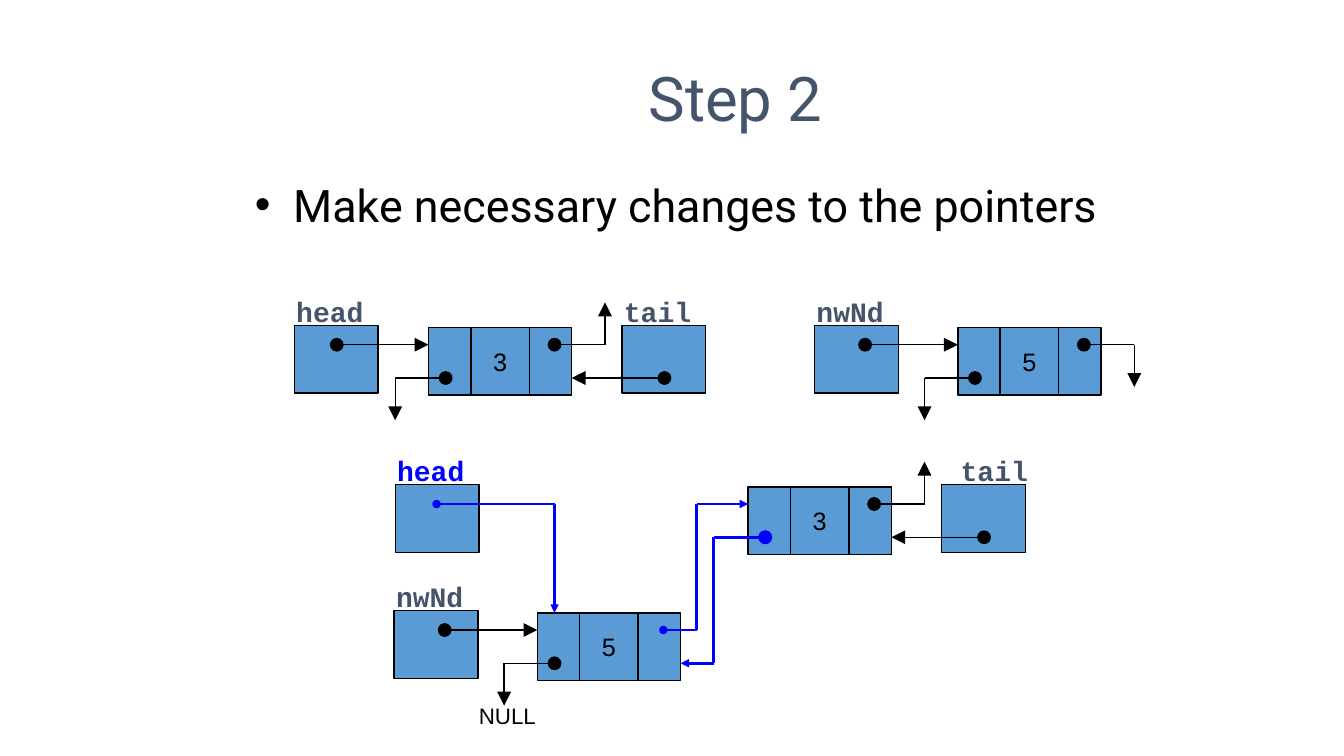
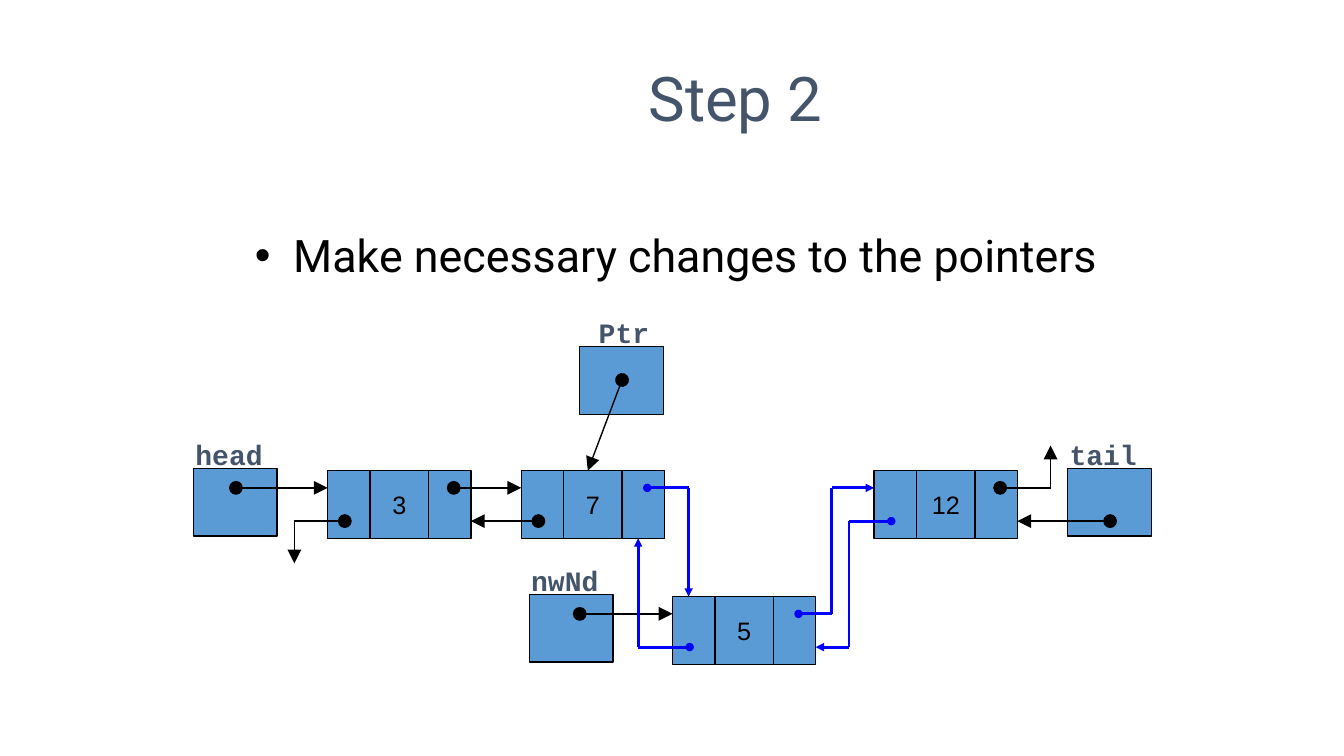
from dataclasses import dataclass
from itertools import pairwise

from lxml.etree import SubElement
from pptx import Presentation
from pptx.dml.color import RGBColor
from pptx.enum.shapes import MSO_CONNECTOR, MSO_SHAPE
from pptx.enum.text import MSO_ANCHOR, PP_ALIGN
from pptx.oxml.ns import qn
from pptx.util import Inches, Pt

BLACK = RGBColor(0x00, 0x00, 0x00)
SLATE = RGBColor(0x44, 0x54, 0x6A)
NODE_BLUE = RGBColor(0x5B, 0x9B, 0xD5)
CHANGED_BLUE = RGBColor(0x00, 0x00, 0xFF)

BOX_HEIGHT = 0.67
POINTER_WIDTH = 0.83
LINK_WIDTH = 0.42
VALUE_WIDTH = 0.58
NODE_WIDTH = 2 * LINK_WIDTH + VALUE_WIDTH
NEXT_LANE = 0.17   # height of the "next" links below a node's top
PREVIOUS_LANE = 0.5
NULL_RUN = 0.5     # sideways part of an arrow to nowhere
NULL_DROP = 0.42


@dataclass
class Node:
    x: float
    y: float

    @property
    def next_dot(self):
        return self.x + 1.25, self.y + NEXT_LANE

    @property
    def previous_dot(self):
        return self.x + 0.17, self.y + PREVIOUS_LANE

    @property
    def left_entry(self):
        return self.x, self.y + NEXT_LANE

    @property
    def right_entry(self):
        return self.x + NODE_WIDTH, self.y + PREVIOUS_LANE


def set_text(shape, text, *, size, font="Arial", color=BLACK, bold=False,
             align=PP_ALIGN.LEFT, anchor=MSO_ANCHOR.TOP, wrap=True, bullet=False):
    frame = shape.text_frame
    frame.word_wrap = wrap
    frame.vertical_anchor = anchor
    paragraph = frame.paragraphs[0]
    paragraph.alignment = align
    if bullet:
        properties = paragraph._p.get_or_add_pPr()
        properties.set("marL", str(Inches(0.38)))
        properties.set("indent", str(Inches(-0.38)))
        SubElement(properties, qn("a:buFont"), typeface="Arial")
        SubElement(properties, qn("a:buChar"), char="•")
    run = paragraph.add_run()
    run.text = text
    run.font.name = font
    run.font.size = Pt(size)
    run.font.bold = bold
    run.font.color.rgb = color


class ListDeck:
    """Draws doubly linked lists, one slide at a time."""

    def __init__(self):
        self.presentation = Presentation()
        self.presentation.slide_width = Inches(13.33)
        self.presentation.slide_height = Inches(7.5)
        self.slide = None

    # Slide text
    def add_slide(self, title, bullet, bullet_top):
        layout = self.presentation.slide_layouts[6]
        self.slide = self.presentation.slides.add_slide(layout)
        self.text(title, 3.67, 0.35, 7.25, 1.23, size=44, font="Roboto", color=SLATE,
                  align=PP_ALIGN.CENTER, anchor=MSO_ANCHOR.MIDDLE)
        self.text(bullet, 2.43, bullet_top, 8.92, 0.83, size=32, font="Roboto", bullet=True)

    def text(self, text, x, y, width, height, **style):
        box = self.slide.shapes.add_textbox(
            Inches(x), Inches(y), Inches(width), Inches(height))
        set_text(box, text, **style)

    # Boxes
    def box(self, x, y, width):
        shape = self.slide.shapes.add_shape(
            MSO_SHAPE.RECTANGLE, Inches(x), Inches(y), Inches(width), Inches(BOX_HEIGHT))
        shape.shadow.inherit = False
        shape.fill.solid()
        shape.fill.fore_color.rgb = NODE_BLUE
        shape.line.color.rgb = BLACK
        shape.line.width = Pt(1)
        return shape

    def node(self, value, x, y):
        self.box(x, y, LINK_WIDTH)
        self.box(x + LINK_WIDTH + VALUE_WIDTH, y, LINK_WIDTH)
        set_text(self.box(x + LINK_WIDTH, y, VALUE_WIDTH), value, size=18,
                 align=PP_ALIGN.CENTER, anchor=MSO_ANCHOR.MIDDLE, wrap=False)
        return Node(x, y)

    def pointer_box(self, name, x, y, color=SLATE, label_shift=0.0):
        self.box(x, y, POINTER_WIDTH)
        self.text(name, x - 0.08 + label_shift, y - 0.36, 1.17, 0.43, size=20,
                  font="Courier New", color=color, bold=True)

    # Links
    def segment(self, start, end, color, dot_size=None, arrow=False):
        changed = color == CHANGED_BLUE
        line = self.slide.shapes.add_connector(
            MSO_CONNECTOR.STRAIGHT, *(Inches(value) for value in (*start, *end)))
        line.line.color.rgb = color
        line.line.width = Pt(2 if changed else 1)
        outline = line.line._get_or_add_ln()
        if dot_size:
            SubElement(outline, qn("a:headEnd"), type="oval", w=dot_size, len=dot_size)
        if arrow:
            size = "med" if changed else "lg"
            SubElement(outline, qn("a:tailEnd"), type="triangle", w=size, len=size)
        SubElement(line._element.spPr, qn("a:effectLst"))

    def link(self, *points, color=BLACK, dot_size="lg"):
        """Join the points, with a dot at the first and an arrow at the last."""
        segments = list(pairwise(points))
        for index, (start, end) in enumerate(segments):
            self.segment(start, end, color, dot_size=dot_size if index == 0 else None,
                         arrow=index == len(segments) - 1)

    def changed_link(self, *points, dot_size="med"):
        self.link(*points, color=CHANGED_BLUE, dot_size=dot_size)

    def null_link(self, dot, run, drop):
        x, y = dot
        self.link(dot, (x + run, y), (x + run, y + drop))

    def null_previous(self, node):
        self.null_link(node.previous_dot, -NULL_RUN, NULL_DROP)

    def null_next(self, node, drop=-NULL_DROP):
        self.null_link(node.next_dot, NULL_RUN, drop)

    def head(self, node):
        x = node.x - 1.33
        self.pointer_box("head", x, node.y - 0.02)
        self.link((x + 0.42, node.y + NEXT_LANE), node.left_entry)

    def new_node(self, node):
        x = node.x - 1.42
        self.pointer_box("nwNd", x, node.y - 0.02)
        self.link((x + 0.5, node.y + NEXT_LANE), node.left_entry)

    def tail(self, node, label_shift=0.0):
        x = node.x + 1.92
        self.pointer_box("tail", x, node.y - 0.02, label_shift=label_shift)
        self.link((x + 0.42, node.y + PREVIOUS_LANE), node.right_entry)
        self.null_next(node)

    def splice(self, new, following, dot_size="med"):
        """Link a new node with the node that follows it, both ways."""
        up, down = new.x + 1.58, new.x + 1.75
        self.changed_link(new.next_dot, (up, new.next_dot[1]),
                          (up, following.left_entry[1]), following.left_entry)
        self.changed_link(following.previous_dot, (down, following.previous_dot[1]),
                          (down, new.right_entry[1]), new.right_entry, dot_size=dot_size)


def insert_at_head(deck):
    deck.add_slide("Step 2", "Make necessary changes to the pointers", 1.71)

    # Before: the list and the new node
    three = deck.node("3", 4.25, 3.25)
    deck.head(three)
    deck.null_previous(three)
    deck.tail(three)
    five = deck.node("5", 9.5, 3.25)
    deck.new_node(five)
    deck.null_previous(five)
    deck.null_next(five, drop=NULL_DROP)

    # After: the new node comes first
    three = deck.node("3", 7.42, 4.83)
    five = deck.node("5", 5.33, 6.08)
    deck.tail(three, label_shift=0.17)
    deck.new_node(five)
    deck.null_previous(five)
    deck.pointer_box("head", 3.92, 4.81, color=CHANGED_BLUE)
    deck.changed_link((4.33, 5), (5.5, 5), (5.5, five.y))
    deck.splice(five, three, dot_size="lg")
    deck.text("NULL", 4.65, 6.92, 0.78, 0.37, size=16, wrap=False)


def insert_in_middle(deck):
    deck.add_slide("Step 2", "Make necessary changes to the pointers", 2.21)

    # Nodes and their pointers
    three, seven, twelve = (deck.node(value, x, 4.67) for value, x in
                            (("3", 3.25), ("7", 5.17), ("12", 8.67)))
    five = deck.node("5", 6.67, 5.92)
    deck.head(three)
    deck.null_previous(three)
    deck.tail(twelve)
    deck.new_node(five)
    deck.pointer_box("Ptr", 5.75, 3.44, label_shift=0.17)
    deck.link((6.17, 3.77), (5.83, seven.y))

    # Unchanged links
    deck.link(three.next_dot, seven.left_entry)
    deck.link(seven.previous_dot, three.right_entry)

    # Changed links
    deck.changed_link(seven.next_dot, (6.83, seven.next_dot[1]), (6.83, five.y))
    deck.changed_link(five.previous_dot, (6.33, five.previous_dot[1]),
                      (6.33, seven.y + BOX_HEIGHT))
    deck.splice(five, twelve)


def main():
    deck = ListDeck()
    insert_at_head(deck)
    insert_in_middle(deck)
    deck.presentation.save("out.pptx")


if __name__ == "__main__":
    main()
